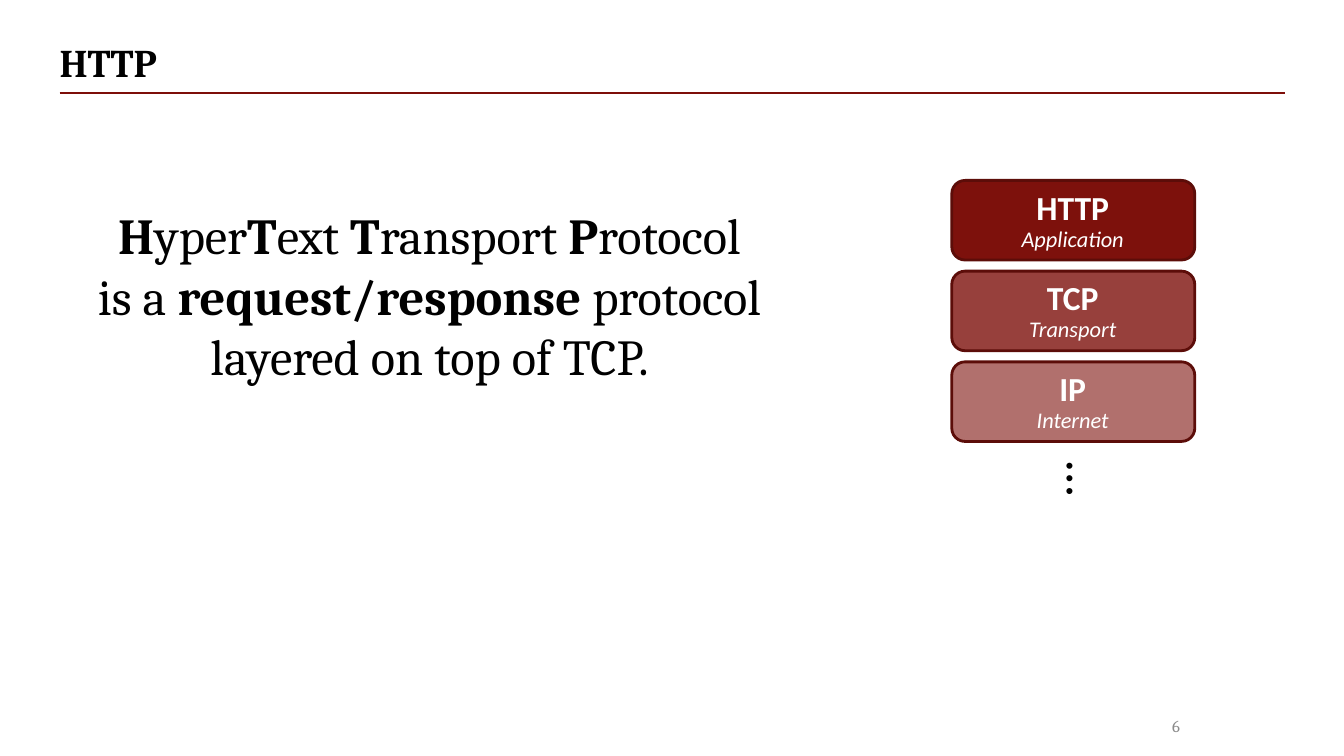
from dataclasses import dataclass

from lxml.etree import SubElement
from pptx import Presentation
from pptx.dml.color import RGBColor
from pptx.enum.shapes import MSO_CONNECTOR, MSO_SHAPE
from pptx.enum.text import MSO_ANCHOR, PP_ALIGN
from pptx.oxml.ns import qn
from pptx.util import Inches, Pt

WIDE, HIGH = Inches(13.33), Inches(7.5)
BLACK = RGBColor(0x00, 0x00, 0x00)
WHITE = RGBColor(0xFF, 0xFF, 0xFF)
GREY = RGBColor(0x8C, 0x8C, 0x8C)
RULE = RGBColor(0x7D, 0x0E, 0x09)
FILL = RGBColor(0x7D, 0x11, 0x0C)
EDGE = RGBColor(0x5C, 0x0D, 0x09)
SERIF, SANS = "Cambria", "Calibri"


@dataclass(frozen=True)
class Area:
    """A box in percent of the slide's width and height."""
    x: float
    y: float
    w: float
    h: float

    def place(self) -> tuple[int, int, int, int]:
        return (int(WIDE * self.x / 100), int(HIGH * self.y / 100),
                int(WIDE * self.w / 100), int(HIGH * self.h / 100))


@dataclass(frozen=True)
class Style:
    face: str
    size: int
    color: RGBColor
    bold: bool = False
    italic: bool = False


@dataclass(frozen=True)
class Layer:
    name: str
    role: str
    alpha: int


HEAD = Style(SERIF, 28, BLACK, bold=True)
PLAIN = Style(SERIF, 36, BLACK)
STRONG = Style(SERIF, 36, BLACK, bold=True)
PAGE = Style(SERIF, 12, GREY)
NAME = Style(SANS, 24, WHITE, bold=True)
ROLE = Style(SANS, 16, WHITE, italic=True)
DOTS = Style(SANS, 36, BLACK)

LINES = (
    (("H", STRONG), ("yper", PLAIN), ("T", STRONG), ("ext ", PLAIN),
     ("T", STRONG), ("ransport ", PLAIN), ("P", STRONG), ("rotocol", PLAIN)),
    (("is a ", PLAIN), ("request/response", STRONG), (" protocol", PLAIN)),
    (("layered on top of TCP.", PLAIN),),
)
STACK = (
    Layer("HTTP", "Application", 100),
    Layer("TCP", "Transport", 80),
    Layer("IP", "Internet", 60),
)
TOP, PITCH = 23.87, 12


def add_run(para, text: str, style: Style) -> None:
    run = para.add_run()
    run.text = text
    font = run.font
    font.name, font.size = style.face, Pt(style.size)
    font.bold, font.italic = style.bold, style.italic
    font.color.rgb = style.color


def add_text(shapes, area: Area, lines, wrap: bool = True):
    """Add a centred box whose lines are tuples of (text, style)."""
    box = shapes.add_textbox(*area.place())
    box.text_frame.word_wrap = wrap
    para = box.text_frame.paragraphs[0]
    para.alignment = PP_ALIGN.CENTER
    for row, line in enumerate(lines):
        if row:
            para.add_line_break()
        for text, style in line:
            add_run(para, text, style)
    return box


def add_title(slide, text: str) -> None:
    title = slide.shapes.title
    title.left, title.top, title.width, title.height = Area(
        4.43, 7.47, 91.2, 4.53).place()
    frame = title.text_frame
    frame.margin_left = frame.margin_right = frame.margin_top = 0
    frame.margin_bottom = Inches(0.05)
    frame.vertical_anchor = MSO_ANCHOR.BOTTOM
    para = frame.paragraphs[0]
    para.alignment = PP_ALIGN.LEFT
    add_run(para, text, HEAD)


def add_rule(slide) -> None:
    x, y, w, _ = Area(4.43, 12.27, 91.2, 0).place()
    rule = slide.shapes.add_connector(MSO_CONNECTOR.STRAIGHT, x, y, x + w, y)
    rule.line.color.rgb, rule.line.width = RULE, Pt(1.5)
    SubElement(rule._element.spPr, qn("a:effectLst"))


def add_layer(slide, layer: Layer, y: float) -> None:
    shapes = slide.shapes.add_group_shape().shapes
    card = shapes.add_shape(MSO_SHAPE.ROUNDED_RECTANGLE,
                            *Area(70.82, y, 18.08, 10.53).place())
    card.shadow.inherit = False
    card.fill.solid()
    card.fill.fore_color.rgb = FILL
    card.line.color.rgb, card.line.width = EDGE, Pt(2)
    if layer.alpha < 100:
        tint = card._element.spPr.find(qn("a:solidFill"))[0]
        SubElement(tint, qn("a:alpha"), val=str(layer.alpha * 1000))
    add_text(shapes, Area(73.89, y + 0.13, 11.85, 6.67), [[(layer.name, NAME)]])
    add_text(shapes, Area(73.89, y + 5.2, 11.85, 4.93), [[(layer.role, ROLE)]])


def main() -> None:
    deck = Presentation()
    deck.slide_width, deck.slide_height = WIDE, HIGH
    slide = deck.slides.add_slide(deck.slide_layouts[5])
    add_rule(slide)
    add_title(slide, "HTTP")
    add_text(slide.shapes, Area(4.43, 26.4, 55.06, 31.87), LINES)
    page = add_text(slide.shapes, Area(75.84, 93.33, 23.33, 5.33), [[("6", PAGE)]])
    page.text_frame.vertical_anchor = MSO_ANCHOR.MIDDLE
    for row, layer in enumerate(STACK):
        add_layer(slide, layer, TOP + row * PITCH)
    dots = add_text(slide.shapes, Area(78.77, 58.67, 4.13, 9.47),
                    [[("…", DOTS)]], wrap=False)
    dots.rotation = 90
    deck.save("out.pptx")


if __name__ == "__main__":
    main()
